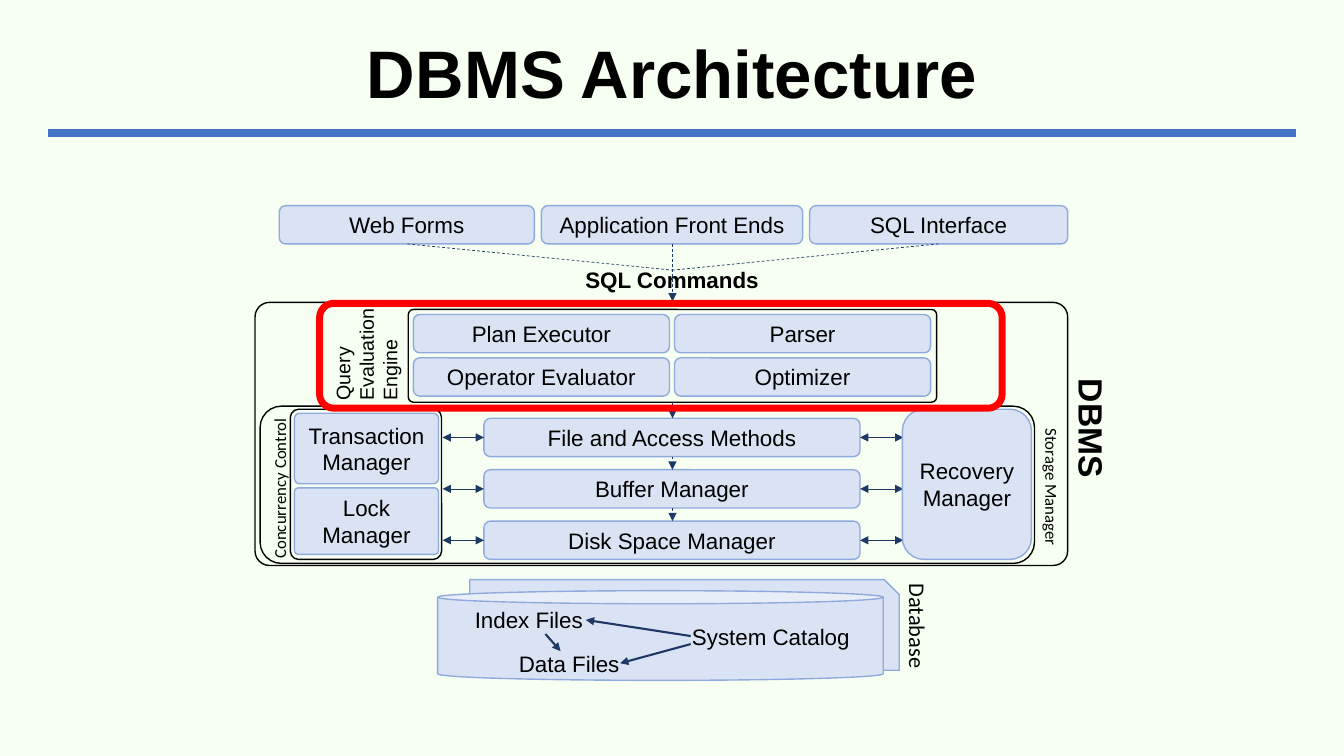
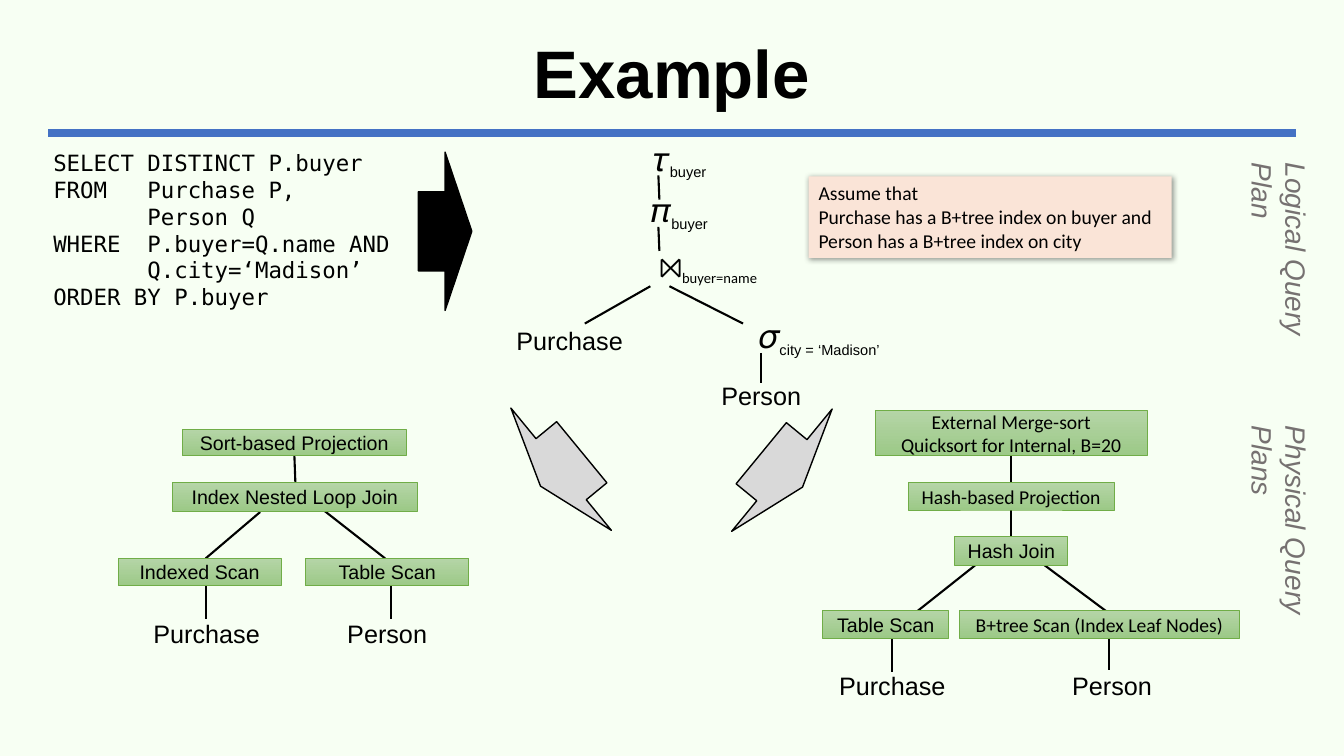
import pptx
import pptx.util
from lxml import etree
from pptx.dml.color import RGBColor
from pptx.enum.dml import MSO_LINE
from pptx.enum.shapes import MSO_CONNECTOR, MSO_SHAPE
from pptx.enum.text import MSO_ANCHOR, MSO_AUTO_SIZE, PP_ALIGN
from pptx.oxml.ns import qn
from pptx.util import Inches

# Shared colours and fonts
BACKGROUND = RGBColor(0xF7, 0xFF, 0xF3)
BLACK = RGBColor(0x00, 0x00, 0x00)
RULE_BLUE = RGBColor(0x44, 0x72, 0xC4)
BOX_FILL = RGBColor(0xDA, 0xE3, 0xF3)
BOX_LINE = RGBColor(0x8F, 0xAA, 0xDC)
NAVY = RGBColor(0x20, 0x38, 0x64)
RED = RGBColor(0xFF, 0x00, 0x00)
GREEN_TOP = RGBColor(0xB5, 0xD5, 0xA7)
GREEN_BOTTOM = RGBColor(0x9C, 0xC9, 0x87)
GREEN_LINE = RGBColor(0x70, 0xAD, 0x47)
PEACH = RGBColor(0xFA, 0xE4, 0xD7)
ARROW_GRAY = RGBColor(0xD9, 0xD9, 0xD9)
TEXT_GRAY = RGBColor(0x76, 0x71, 0x71)
SANS, BODY, MONO = "Arial", "Calibri", "DejaVu Sans Mono"
LEFT, CENTER = PP_ALIGN.LEFT, PP_ALIGN.CENTER
ROUND = MSO_SHAPE.ROUNDED_RECTANGLE


# Text and shape helpers
def set_text(tf, text, size, font=SANS, align=CENTER, anchor=MSO_ANCHOR.MIDDLE,
             color=BLACK, bold=False, italic=False):
    tf.text = text
    tf.word_wrap = True
    tf.vertical_anchor = anchor
    for p in tf.paragraphs:
        p.alignment = align
        for r in p.runs:
            r.font.name, r.font.size = font, pptx.util.Pt(size)
            r.font.bold, r.font.italic = bold, italic
            r.font.color.rgb = color


def add_label(shapes, at, text, size=16, rotation=0, **style):
    sp = shapes.add_textbox(*map(Inches, at))
    sp.rotation = rotation
    set_text(sp.text_frame, text, size, **style)
    return sp


def add_box(shapes, at, kind=ROUND, fill=BOX_FILL, line=BOX_LINE, width=1,
            adj=None, rotation=0):
    sp = shapes.add_shape(kind, *map(Inches, at))
    sp.shadow.inherit = False
    sp.rotation = rotation
    if adj is not None:
        sp.adjustments[0] = adj
    if fill is None:
        sp.fill.background()
    else:
        sp.fill.solid()
        sp.fill.fore_color.rgb = fill
    if line is None:
        sp.line.fill.background()
    else:
        sp.line.color.rgb = line
        sp.line.width = pptx.util.Pt(width)
    return sp


def add_text_box(shapes, at, text, adj=None):
    set_text(add_box(shapes, at, adj=adj).text_frame, text, 16)


def add_frame(shapes, at, adj, line=BLACK, width=1):
    add_box(shapes, at, fill=None, adj=adj, line=line, width=width)


def add_line(shapes, start, end, color=BLACK, width=1.5, dash=False,
             head=False, tail=False):
    c = shapes.add_connector(MSO_CONNECTOR.STRAIGHT,
                             *map(Inches, (*start, *end)))
    c.line.color.rgb = color
    c.line.width = pptx.util.Pt(width)
    if dash:
        c.line.dash_style = MSO_LINE.DASH
    sp_pr = c._element.spPr
    ln = sp_pr.find(qn("a:ln"))
    for tag, wanted in (("a:headEnd", head), ("a:tailEnd", tail)):
        if wanted:
            etree.SubElement(ln, qn(tag), type="triangle")
    etree.SubElement(sp_pr, qn("a:effectLst"))


def add_drop_shadow(sp):
    effects = sp._element.spPr.find(qn("a:effectLst"))
    shadow = etree.SubElement(effects, qn("a:outerShdw"), blurRad="50800",
                              dist="12700", dir="2700000", algn="tl")
    color = etree.SubElement(shadow, qn("a:srgbClr"), val="000000")
    etree.SubElement(color, qn("a:alpha"), val="40000")


# Query tree helpers
def add_operator(shapes, x, y, symbol, subscript, size=24, font=SANS,
                 sub_font=SANS):
    sp = add_label(shapes, (x, y - 0.2, 1.6, 0.4), symbol, size,
                   font=font, align=LEFT)
    tf = sp.text_frame
    tf.margin_left = tf.margin_right = tf.margin_top = tf.margin_bottom = 0
    r = tf.paragraphs[0].add_run()
    r.text = subscript
    r.font.name, r.font.size = sub_font, pptx.util.Pt(18)
    r.font.color.rgb = BLACK
    r._r.get_or_add_rPr().set("baseline", "-25000")


def add_relation(shapes, x, y, name):
    add_label(shapes, (x - 0.8, y - 0.2, 1.6, 0.4), name, 18)


def add_plan_node(shapes, at, text, font=SANS):
    sp = add_box(shapes, at, MSO_SHAPE.RECTANGLE, line=GREEN_LINE, width=0.5)
    sp.fill.gradient()
    sp.fill.gradient_angle = 270
    for stop, color in zip(sp.fill.gradient_stops, (GREEN_TOP, GREEN_BOTTOM)):
        stop.color.rgb = color
    set_text(sp.text_frame, text, 14, font)


def add_plan(s, edges, nodes, relations):
    shapes = s.shapes.add_group_shape().shapes
    for start, end in edges:
        add_line(shapes, start, end)
    for node in nodes:
        add_plan_node(shapes, *node)
    for relation in relations:
        add_relation(shapes, *relation)


# Background, title and rule of every slide
def new_slide(prs, title):
    s = prs.slides.add_slide(prs.slide_layouts[5])
    add_line(s.shapes, (0.48, 1.32), (12.85, 1.32), RULE_BLUE, 6)
    sp = s.shapes.title
    sp.left, sp.top, sp.width, sp.height = map(Inches, (0.48, 0.24, 12.37, 1.05))
    set_text(sp.text_frame, title, 48, bold=True)
    sp.text_frame.auto_size = MSO_AUTO_SIZE.NONE
    sp.text_frame.paragraphs[0].line_spacing = 0.9
    return s


def build_architecture(prs):
    s = new_slide(prs, "DBMS Architecture")
    shapes = s.shapes
    mid = 6.67

    # Clients
    add_box(shapes, (4.66, 5.75, 4.26, 0.9), MSO_SHAPE.SNIP_1_RECTANGLE)
    for x, w, text in ((2.77, 2.53, "Web Forms"),
                       (5.37, 2.59, "Application Front Ends"),
                       (8.03, 2.56, "SQL Interface")):
        add_text_box(shapes, (x, 2.04, w, 0.38), text)
    add_label(shapes, (5.64, 2.58, 2.05, 0.38), "SQL Commands", bold=True)

    # Query evaluation engine
    add_frame(shapes, (2.53, 3, 8.06, 2.61), 0.055)
    add_frame(shapes, (4.05, 3.07, 5.24, 0.92), 0.055)
    engine = ("Plan Executor", "Parser", "Operator Evaluator", "Optimizer")
    for i, text in enumerate(engine):
        row, col = divmod(i, 2)
        add_text_box(shapes, (4.1 + 2.59 * col, 3.12 + 0.43 * row, 2.54, 0.38),
                     text)

    # Storage manager layers, with arrows to both sides
    layers = ("File and Access Methods", "Buffer Manager", "Disk Space Manager")
    for i, text in enumerate(layers):
        y = 4.15 + 0.51 * i
        add_text_box(shapes, (4.8, y, 3.73, 0.38), text)
        above = 3.99 if i == 0 else y - 0.13
        add_line(shapes, (mid, above), (mid, y), NAVY, 0.5, dash=True, tail=True)
        for x1, x2 in ((4.39, 4.8), (8.53, 8.96)):
            add_line(shapes, (x1, y + 0.19), (x2, y + 0.19), NAVY, 0.5,
                     head=True, tail=True)
    add_text_box(shapes, (8.95, 4.06, 1.28, 1.49), "Recovery Manager")
    add_text_box(shapes, (2.92, 4.1, 1.43, 0.7), "Transaction Manager", 0.075)
    add_text_box(shapes, (2.92, 4.84, 1.43, 0.66), "Lock Manager", 0.062)
    add_frame(shapes, (2.88, 4.06, 1.5, 1.49), 0.055)

    # Database
    add_box(shapes, (4.34, 5.86, 4.42, 0.89), MSO_SHAPE.CAN, adj=0.146)
    add_label(shapes, (4.42, 5.96, 1.65, 0.38), "Index Files")
    add_label(shapes, (4.82, 6.39, 1.65, 0.38), "Data Files")
    add_label(shapes, (6.64, 6.12, 2.01, 0.38), "System Catalog")
    for start, end in (((6.85, 6.31), (5.81, 6.15)),
                       ((6.85, 6.39), (6.15, 6.58)),
                       ((5.41, 6.29), (5.56, 6.46))):
        add_line(shapes, start, end, NAVY, tail=True)

    # Commands flowing into the engine
    for x in (4.04, 9.31):
        add_line(shapes, (x, 2.42), (mid, 2.68), NAVY, 0.5, dash=True)
    add_line(shapes, (mid, 2.42), (mid, 2.99), NAVY, 0.5, dash=True, tail=True)

    # Rotated labels
    add_label(shapes, (8.55, 6.02, 1.11, 0.38), "Database", 16, 90, font=BODY)
    add_label(shapes, (2.98, 2.97, 1.3, 0.9), "Query Evaluation Engine", 14, 270,
              align=LEFT)
    add_label(shapes, (1.91, 4.58, 1.72, 0.4), "Concurrency Control", 12, 270,
              font=BODY, align=LEFT)
    add_label(shapes, (9.71, 4.68, 1.45, 0.4), "Storage Manager", 12, 90,
              font=BODY, align=LEFT)
    add_label(shapes, (10.18, 4.12, 1.3, 0.38), "DBMS", 24, 90, align=LEFT,
              bold=True)

    # Storage manager outline and highlight
    add_frame(shapes, (2.58, 4.03, 7.68, 1.56), 0.135)
    add_frame(shapes, (3.17, 3.01, 6.77, 1.04), 0.135, RED, 5)


def build_example(prs):
    s = new_slide(prs, "Example")
    shapes = s.shapes

    # Query
    query = ("SELECT DISTINCT P.buyer\n"
             "FROM   Purchase P,\n"
             "       Person Q\n"
             "WHERE  P.buyer=Q.name AND\n"
             "       Q.city=‘Madison’\n"
             "ORDER BY P.buyer")
    add_label(shapes, (0.43, 1.43, 4.08, 1.72), query, font=MONO, align=LEFT,
              anchor=MSO_ANCHOR.TOP)
    for x, y, fill, rotation in ((4.15, 1.51, BLACK, 0),
                                 (5.3, 3.87, ARROW_GRAY, 140.6),
                                 (7.49, 3.88, ARROW_GRAY, 39.4)):
        add_box(shapes, (x, y, 0.53, 1.57), MSO_SHAPE.RIGHT_ARROW, fill, BLACK,
                rotation=rotation)

    # Logical plan
    logical = shapes.add_group_shape().shapes
    for start, end in (((6.53, 1.74), (6.54, 1.98)), ((6.53, 2.25), (6.54, 2.49)),
                       ((6.45, 2.84), (5.8, 3.21)), ((6.64, 2.84), (7.37, 3.21)),
                       ((7.55, 3.5), (7.55, 3.8))):
        add_line(logical, start, end)
    add_operator(logical, 6.48, 1.58, "𝜏", "buyer")
    add_operator(logical, 6.46, 2.09, "𝜋", "buyer")
    add_operator(logical, 6.54, 2.66, "⨝", "buyer=name", 20, BODY, BODY)
    add_operator(logical, 7.53, 3.34, "𝜎", "city = ‘Madison’")
    add_relation(logical, 5.65, 3.38, "Purchase")
    add_relation(logical, 7.55, 3.92, "Person")

    # Assumptions
    note = add_box(shapes, (8.02, 1.75, 3.6, 0.81), MSO_SHAPE.RECTANGLE, PEACH,
                   None)
    add_drop_shadow(note)
    set_text(note.text_frame, "Assume that\nPurchase has a B+tree index on buyer "
             "and Person has a B+tree index on city", 14, BODY, LEFT,
             MSO_ANCHOR.TOP)

    # Physical plans
    add_plan(s,
             (((2.92, 4.52), (2.93, 4.8)), ((2.58, 5.08), (2.04, 5.54)),
              ((3.22, 5.07), (3.82, 5.54)), ((2.04, 5.81), (2.04, 6.14)),
              ((3.88, 5.81), (3.88, 6.14))),
             (((1.81, 4.26, 2.22, 0.26), "Sort-based Projection"),
              ((1.71, 4.79, 2.43, 0.28), "Index Nested Loop Join"),
              ((1.17, 5.54, 1.62, 0.27), "Indexed Scan"),
              ((3.03, 5.54, 1.62, 0.27), "Table Scan")),
             ((2.05, 6.28, "Purchase"), (3.84, 6.28, "Person")))
    add_plan(s,
             (((10.03, 4.52), (10.03, 4.79)), ((10.03, 5.06), (10.03, 5.33)),
              ((9.67, 5.61), (9.09, 6.07)), ((10.35, 5.6), (10.98, 6.07)),
              ((8.85, 6.34), (8.85, 6.67)), ((11, 6.33), (11, 6.65))),
             (((8.68, 4.07, 2.7, 0.45),
               "External Merge-sort\nQuicksort for Internal, B=20", BODY),
              ((9.01, 4.79, 2.04, 0.27), "Hash-based Projection", BODY),
              ((9.47, 5.32, 1.12, 0.29), "Hash Join"),
              ((8.16, 6.06, 1.25, 0.27), "Table Scan"),
              ((9.52, 6.06, 2.77, 0.27), "B+tree Scan (Index Leaf Nodes)", BODY)),
             ((8.85, 6.8, "Purchase"), (11.03, 6.8, "Person")))

    # Side labels
    for at, text in (((11.66, 2.49, 2.39, 0.44), "Logical Query Plan"),
                     ((11.58, 5.18, 2.55, 0.44), "Physical Query Plans")):
        add_label(shapes, at, text, 20, 90, align=LEFT, anchor=MSO_ANCHOR.TOP,
                  color=TEXT_GRAY, italic=True)


def main():
    prs = pptx.Presentation()
    prs.slide_width, prs.slide_height = Inches(13.33), Inches(7.5)
    fill = prs.slide_master.background.fill
    fill.solid()
    fill.fore_color.rgb = BACKGROUND
    build_architecture(prs)
    build_example(prs)
    prs.save("out.pptx")


if __name__ == "__main__":
    main()
